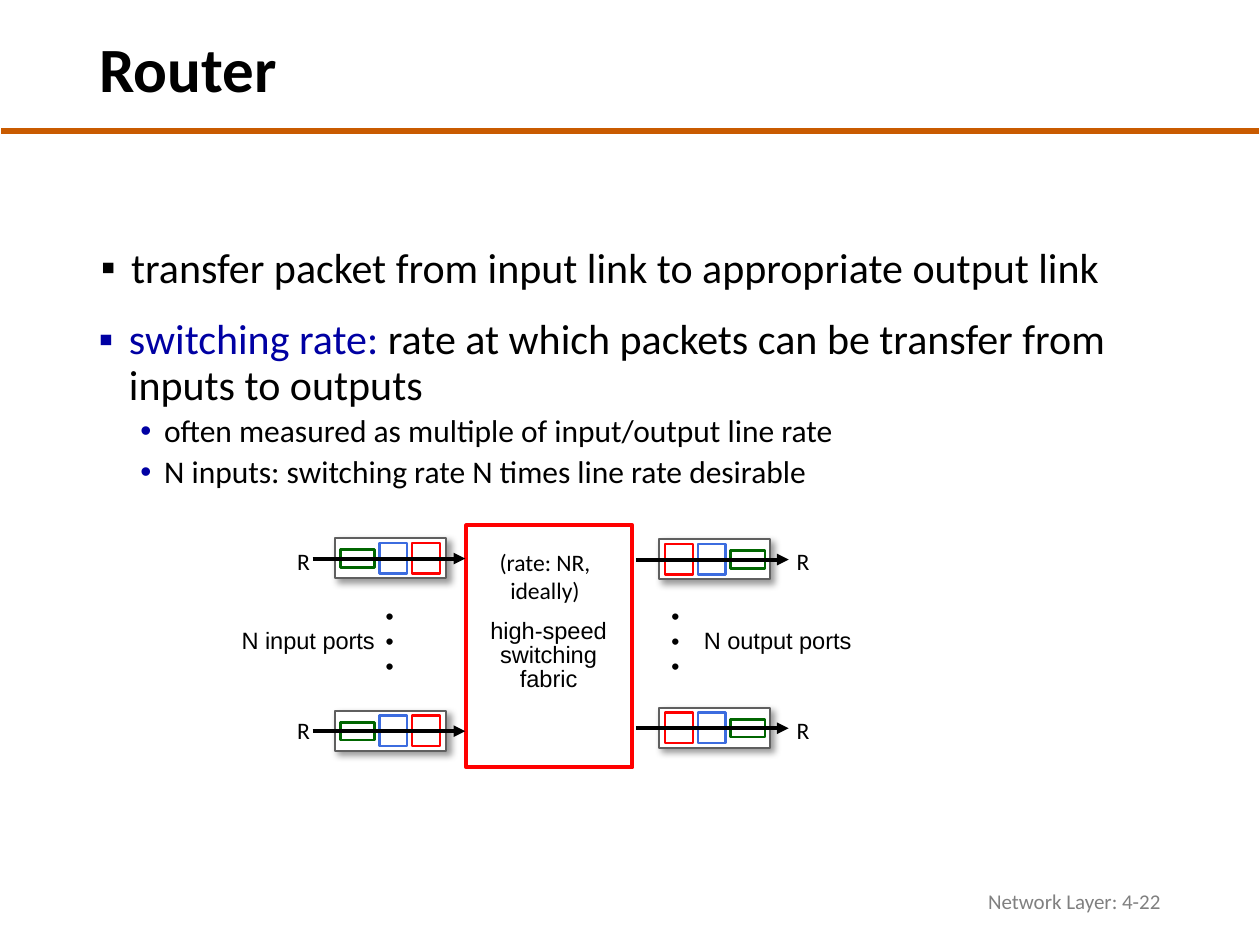
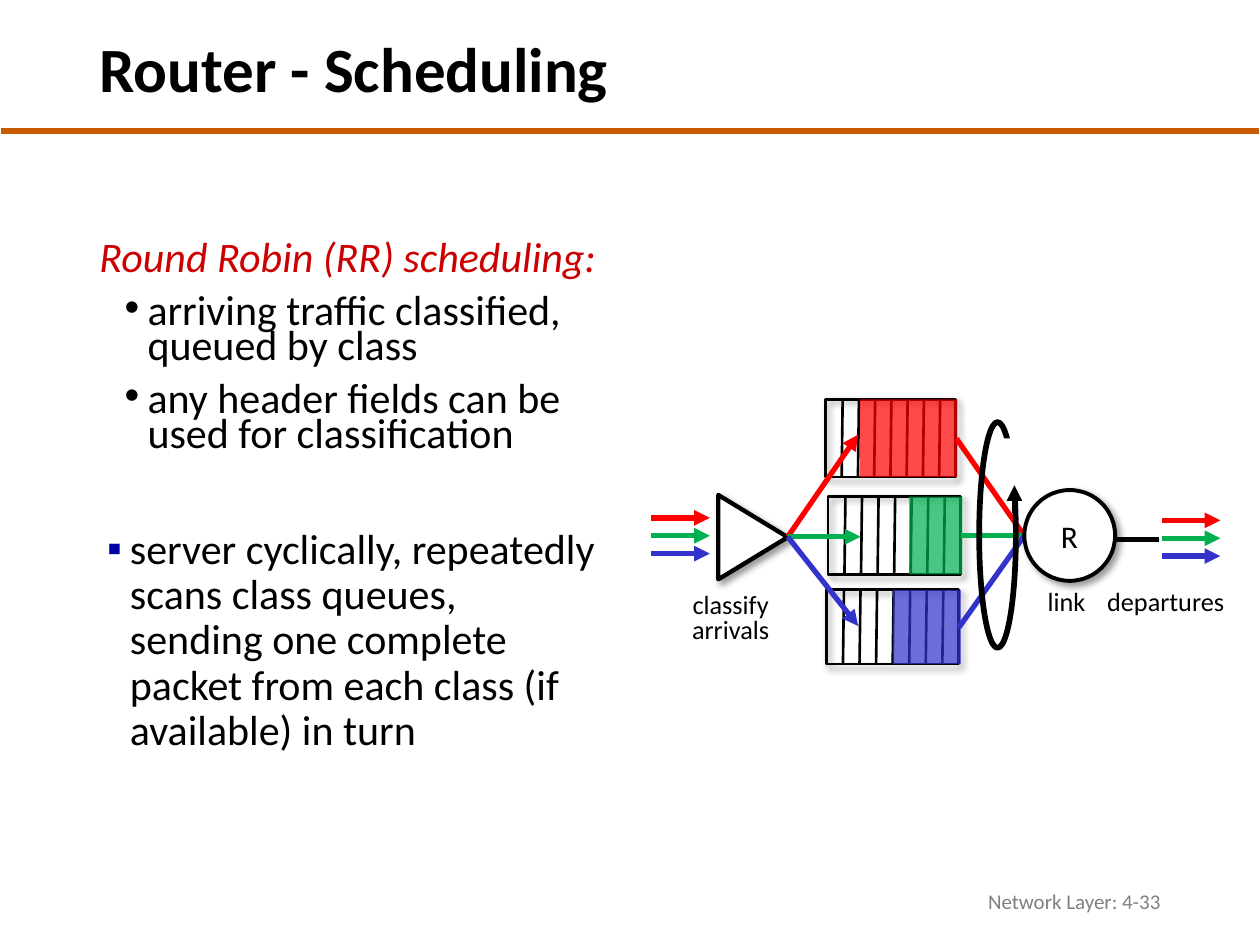
"""Build two lecture slides on router switching and round robin scheduling."""
from dataclasses import dataclass

from lxml import etree
from pptx import Presentation
from pptx import util as u
from pptx.dml.color import RGBColor
from pptx.enum import shapes, text
from pptx.oxml import ns

Cm, Pt = u.Cm, u.Pt
RECT = shapes.MSO_SHAPE.RECTANGLE
OVAL = shapes.MSO_SHAPE.OVAL
TRIANGLE = shapes.MSO_SHAPE.ISOSCELES_TRIANGLE
LEFT, CENTER, RIGHT = text.PP_ALIGN.LEFT, text.PP_ALIGN.CENTER, text.PP_ALIGN.RIGHT


@dataclass(frozen=True)
class Theme:
    """Colours, fonts and type sizes of the deck."""
    ink: str = "000000"
    paper: str = "FFFFFF"
    rule: str = "C95B00"
    footer: str = "808080"
    term: str = "0000A3"
    heading: str = "CC0000"
    frame: str = "5F5F5F"
    red: str = "FF0000"
    green: str = "00B050"
    blue: str = "3333CC"
    packet_green: str = "006600"
    packet_blue: str = "3C6CDF"
    font: str = "Calibri"
    label_font: str = "Arial"
    title_size: float = 36
    body_size: float = 24
    detail_size: float = 18
    caption_size: float = 15
    label_size: float = 13.5
    footer_size: float = 12
    dots_size: float = 30


THEME = Theme()


@dataclass
class Para:
    """One paragraph: its spans are pairs of wording and optional colour."""
    spans: list
    size: float = THEME.body_size
    color: str = THEME.ink
    font: str = THEME.font
    align: int = LEFT
    spacing: float = 1.0
    before: float = 0
    bullet: str = ""
    bullet_color: str = THEME.ink
    margin: float = 0
    hanging: float = 0
    level: int = 0
    bold: bool = False
    italic: bool = False


def rgb(color):
    """Turn a hex code into a colour."""
    return RGBColor.from_string(color)


def add_xml(parent, tag, **attributes):
    """Append a drawing element with the given attributes."""
    values = {name: str(value) for name, value in attributes.items()}
    return etree.SubElement(parent, ns.qn("a:" + tag), values)


def set_bullet(para, item):
    """Set the indents and the bullet of a paragraph."""
    properties = para._p.get_or_add_pPr()
    properties.set("marL", str(Cm(item.margin)))
    properties.set("indent", str(-Cm(item.hanging)))
    if not item.bullet:
        add_xml(properties, "buNone")
        return
    add_xml(add_xml(properties, "buClr"), "srgbClr", val=item.bullet_color)
    add_xml(properties, "buFont", typeface=THEME.label_font)
    add_xml(properties, "buChar", char=item.bullet)


def write(frame, items, wrap=True, anchor=text.MSO_ANCHOR.TOP):
    """Fill a text frame with paragraphs."""
    frame.word_wrap = wrap
    frame.auto_size = text.MSO_AUTO_SIZE.NONE
    frame.vertical_anchor = anchor
    for index, item in enumerate(items):
        para = frame.add_paragraph() if index else frame.paragraphs[0]
        para.level = item.level
        para.alignment = item.align
        para.line_spacing = item.spacing
        para.space_before = Pt(item.before)
        set_bullet(para, item)
        para.font.name, para.font.size = item.font, Pt(item.size)
        para.font.bold, para.font.italic = item.bold, item.italic
        para.font.color.rgb = rgb(item.color)
        for wording, color in item.spans:
            for number, line in enumerate(wording.split("\n")):
                if number:
                    para.add_line_break()
                span = para.add_run()
                span.text = line
                if color:
                    span.font.color.rgb = rgb(color)


def place(box, left, top, width, height):
    """Move and size a shape, in centimetres."""
    box.left, box.top, box.width, box.height = map(Cm, (left, top, width, height))


def add_text(canvas, at, items, wrap=True, inset=None, **options):
    """Add a text box, with narrow insets if they are given."""
    box = canvas.add_textbox(*map(Cm, at))
    frame = box.text_frame
    if inset:
        frame.margin_left = frame.margin_right = Cm(inset[0])
        frame.margin_top = frame.margin_bottom = Cm(inset[1])
    write(frame, items, wrap, **options)
    return box


def add_label(canvas, at, lines, size=THEME.label_size, font=THEME.font,
              align=CENTER, spacing=1.0, wrap=False):
    """Add a diagram label with one paragraph for each line."""
    items = [Para([(line, None)], size, font=font, align=align, spacing=spacing)
             for line in lines]
    return add_text(canvas, at, items, wrap)


def add_shadow(box):
    """Give a shape a soft shadow to the lower right."""
    effects = box._element.spPr.find(ns.qn("a:effectLst"))
    shadow = add_xml(effects, "outerShdw", blurRad=Pt(4), dist=Pt(3), dir=45 * 60000,
                     algn="tl", rotWithShape=0)
    add_xml(add_xml(shadow, "srgbClr", val=THEME.ink), "alpha", val=40000)


def add_figure(canvas, kind, at, fill=None, line=None, width=1.5, alpha=None,
               shadow=False):
    """Add a preset shape with an optional fill, line and shadow."""
    box = canvas.add_shape(kind, *map(Cm, at))
    box.shadow.inherit = False
    if fill:
        box.fill.solid()
        box.fill.fore_color.rgb = rgb(fill)
        if alpha:
            color = box._element.spPr.find(".//" + ns.qn("a:srgbClr"))
            add_xml(color, "alpha", val=alpha * 1000)
    else:
        box.fill.background()
    if line:
        box.line.color.rgb = rgb(line)
        box.line.width = Pt(width)
    else:
        box.line.fill.background()
    if shadow:
        add_shadow(box)
    return box


def add_line(canvas, start, end, color=THEME.ink, width=3, arrow=False):
    """Add a straight line, with an arrowhead at its end if asked."""
    line = canvas.add_connector(shapes.MSO_CONNECTOR.STRAIGHT, *map(Cm, (*start, *end)))
    line.line.color.rgb = rgb(color)
    line.line.width = Pt(width)
    if arrow:
        add_xml(line.line._get_or_add_ln(), "tailEnd", type="triangle")
    add_xml(line._element.spPr, "effectLst")


def add_page(deck, title, number, body, body_at):
    """Add a slide with its title, rule, body list and footer."""
    page = deck.slides.add_slide(deck.slide_layouts[1])
    heading, content = page.placeholders
    add_line(page.shapes, (0.03, 2.64), (25.37, 2.64), THEME.rule)
    place(heading, 1.75, 0.38, 20.14, 2.16)
    write(heading.text_frame, [Para([(title, None)], THEME.title_size, spacing=0.9,
                                    bold=True)], anchor=text.MSO_ANCHOR.MIDDLE)
    place(content, *body_at)
    write(content.text_frame, body)
    footer = Para([(f"Network Layer: {number}", None)], THEME.footer_size,
                  THEME.footer, align=RIGHT)
    add_text(page.shapes, (17.93, 17.65, 5.72, 1.02), [footer],
             anchor=text.MSO_ANCHOR.MIDDLE)
    return page


def add_port(page, left, top, is_input):
    """Add a port buffer with three packets and the link through it."""
    group = page.shapes.add_group_shape().shapes
    frame_width = 2.24
    add_figure(group, RECT, (left, top, frame_width, 0.81), THEME.paper, THEME.frame,
               1.25, shadow=True)
    packets = [(0.1, 0.23, 0.69, 0.36, THEME.packet_green),
               (0.89, 0.1, 0.56, 0.61, THEME.packet_blue),
               (1.55, 0.1, 0.56, 0.61, THEME.red)]
    for across, down, width, height, color in packets:
        offset = across if is_input else frame_width - across - width
        add_figure(group, RECT, (left + offset, top + down, width, height),
                   THEME.paper, color)
    add_line(group, (left - 0.46, top + 0.41), (left + 2.62, top + 0.41), width=2.25,
             arrow=True)


def add_queue(page, left, top, width, height, filled, color):
    """Add a queue of eight slots whose right part is filled."""
    group = page.shapes.add_group_shape().shapes
    add_figure(group, RECT, (left, top, width, height), line=THEME.ink, shadow=True)
    for slot in range(1, 8):
        across = left + slot * width / 8
        add_line(group, (across + 0.02, top), (across, top + height), width=1.5)
    add_figure(group, RECT, (left + width + 0.04 - filled, top, filled, height), color,
               alpha=71)


def build_router(deck):
    """Build the slide on the switching fabric."""
    transfer = Para([("transfer packet from input link to appropriate output link", None)],
                    spacing=0.9, bullet="▪", margin=0.64, hanging=0.61)
    page = add_page(deck, "Router", "4-22", [transfer], (1.75, 4.85, 21.89, 1.6))
    canvas = page.shapes
    rate = Para([("switching rate: ", THEME.term),
                 ("rate at which packets can be transfer from inputs to outputs", None)],
                spacing=0.9, bullet="▪", bullet_color=THEME.term, margin=0.74,
                hanging=0.61)
    details = [Para([(line, None)], THEME.detail_size, spacing=0.9, before=3.8,
                    bullet="•", bullet_color=THEME.term, margin=1.45, hanging=0.48,
                    level=1)
               for line in ("often measured as multiple of input/output line rate",
                            "N inputs: switching rate N times line rate desirable")]
    add_text(canvas, (1.68, 6.32, 22.99, 4.83), [rate, *details], inset=(0.18, 0.1))

    add_figure(canvas, RECT, (9.4, 10.59, 3.35, 4.88), THEME.paper, THEME.red, 2.25)
    add_label(canvas, (9.6, 10.92, 2.77, 1.42), ["(rate: NR, ideally)"], wrap=True)
    add_label(canvas, (9.55, 12.37, 3.02, 1.73), ["high-speed", "switching", "fabric"],
              font=THEME.label_font, spacing=0.85)
    for left, top, is_input in ((6.76, 10.85, True), (6.76, 14.33, True),
                                (13.28, 10.87, False), (13.28, 14.27, False)):
        add_port(page, left, top, is_input)
    for left in (5.74, 15.81):
        for top in (10.9, 14.3):
            add_label(canvas, (left, top, 0.79, 0.84), ["R"], align=LEFT)
    for wording, left, width, dots_left in (("N input ports", 4.62, 3.23, 7.24),
                                            ("N output ports", 13.94, 3.53, 13.0)):
        add_label(canvas, (left, 12.5, width, 0.84), [wording], font=THEME.label_font,
                  align=LEFT)
        dots = add_label(canvas, (dots_left, 12.17, 1.93, 1.55), [". . ."],
                         THEME.dots_size, wrap=True)
        dots.rotation = 90


def build_scheduling(deck):
    """Build the slide on round robin scheduling."""
    heading = Para([("Round Robin (RR) scheduling:", None)], color=THEME.heading,
                   spacing=0.7, margin=0.64, hanging=0.64, italic=True)
    points = [Para([(line, None)], spacing=0.7, before=10, bullet="•", margin=0.97,
                   hanging=0.46)
              for line in ("arriving traffic classified, queued by class",
                           "any header fields can be used for classification")]
    page = add_page(deck, "Router - Scheduling", "4-33", [heading, *points],
                    (1.75, 4.8, 11.61, 4.85))
    canvas = page.shapes
    server = Para([("server cyclically, repeatedly scans class queues,\nsending one complete "
                    "packet from each class (if available) in turn", None)],
                  spacing=0.9, bullet="▪", bullet_color=THEME.term, margin=0.97,
                  hanging=0.46)
    add_text(canvas, (1.47, 10.54, 10.74, 4.9), [server], inset=(0.18, 0.1))

    add_line(canvas, (22.4, 10.87), (23.37, 10.87))
    colors = (THEME.red, THEME.green, THEME.blue)
    queues = ((16.64, 8.05, 2.62, 1.57, 1.96), (16.69, 10.01, 2.67, 1.57, 1.07),
              (16.66, 11.89, 2.67, 1.5, 1.37))
    for queue, color in zip(queues, colors):
        add_queue(page, *queue, color)
    classifier = add_figure(canvas, TRIANGLE, (14.33, 10.13, 1.7, 1.4), THEME.paper,
                            THEME.ink, 2.5, shadow=True)
    classifier.rotation = 90
    for left, top in ((13.13, 10.44), (23.42, 10.49)):
        for index, color in enumerate(colors):
            height = top + index * 0.36
            add_line(canvas, (left, height), (left + 1.18, height), color, arrow=True)
    entries = ((17.3, 8.76), (17.35, 10.82), (17.3, 12.62))
    exits = ((19.28, 8.84), (19.38, 10.8), (19.33, 12.65))
    for entry, leave, color in zip(entries, exits, colors):
        add_line(canvas, (15.88, 10.82), entry, color, arrow=True)
        add_line(canvas, leave, (20.65, 10.8), color)
    add_figure(canvas, OVAL, (20.65, 9.88, 1.83, 1.83), THEME.paper, THEME.ink, 2.25,
               shadow=True)
    for at, lines, size in (
            ((13.64, 11.86, 2.18, 1.3), ["classify", "arrivals"], THEME.caption_size),
            ((22.05, 11.79, 2.9, 0.79), ["departures"], THEME.caption_size),
            ((20.85, 11.79, 1.3, 0.79), ["link"], THEME.caption_size),
            ((21.13, 10.44, 0.86, 0.89), ["R"], THEME.detail_size)):
        add_label(canvas, at, lines, size, spacing=0.8)
    add_figure(canvas, OVAL, (19.74, 8.51, 0.74, 4.55), line=THEME.ink, width=3.25)
    add_figure(canvas, RECT, (20.24, 8.84, 0.41, 1.22), THEME.paper)
    add_line(canvas, (20.45, 10.34), (20.45, 9.78), arrow=True)


def main():
    """Build and save the deck."""
    deck = Presentation()
    deck.slide_width, deck.slide_height = Cm(25.4), Cm(19.05)
    build_router(deck)
    build_scheduling(deck)
    deck.save("out.pptx")


if __name__ == "__main__":
    main()
